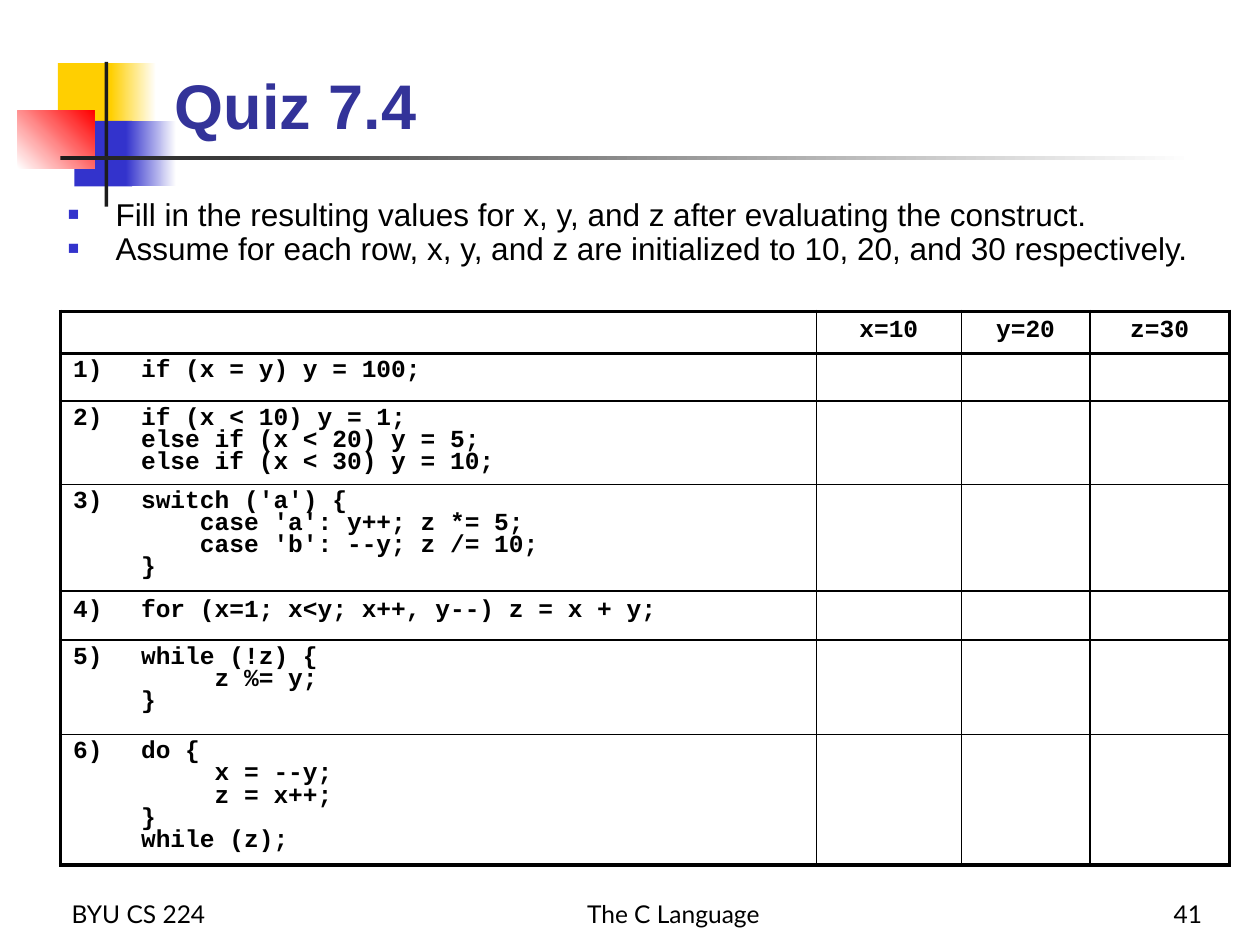
from pptx import Presentation
from pptx.dml.color import RGBColor
from pptx.enum.shapes import MSO_SHAPE
from pptx.enum.text import MSO_ANCHOR, PP_ALIGN
from pptx.oxml.xmlchemy import OxmlElement
from pptx.util import Inches, Pt

RECT = MSO_SHAPE.RECTANGLE
TOP, BOTTOM = MSO_ANCHOR.TOP, MSO_ANCHOR.BOTTOM
LEFT, CENTER, RIGHT = PP_ALIGN.LEFT, PP_ALIGN.CENTER, PP_ALIGN.RIGHT

BLACK = RGBColor(0x00, 0x00, 0x00)
WHITE = RGBColor(0xFF, 0xFF, 0xFF)
YELLOW = RGBColor(0xFF, 0xCF, 0x01)
BLUE = RGBColor(0x33, 0x33, 0xCC)
RED = RGBColor(0xFF, 0x00, 0x00)
DARK = RGBColor(0x1C, 0x1C, 0x1C)
NAVY = RGBColor(0x33, 0x33, 0x99)

THICK, THIN = 2.25, 1


def add_xml(parent, tag, **attrs):
    node = OxmlElement(tag)
    for key, value in attrs.items():
        node.set(key, str(value))
    parent.append(node)
    return node


def add_bullet(para, color):
    props = para._p.get_or_add_pPr()
    props.set("marL", str(Inches(0.38)))
    props.set("indent", str(Inches(-0.38)))
    add_xml(add_xml(props, "a:buClr"), "a:srgbClr", val=color)
    add_xml(props, "a:buSzPct", val=60000)
    add_xml(props, "a:buFont", typeface="Arial")
    add_xml(props, "a:buChar", char="■")


def write(frame, text, font="Arial", size=18, color=BLACK, bold=False,
          align=LEFT, spacing=None, bullet=None):
    for i, line in enumerate(text.split("\n")):
        para = frame.add_paragraph() if i else frame.paragraphs[0]
        para.alignment = align
        if spacing:
            para.line_spacing = spacing
        if bullet is not None:
            add_bullet(para, bullet)
        if not line:
            add_xml(para._p, "a:endParaRPr", sz=size * 100)
            continue
        run = para.add_run()
        run.text = line
        run.font.name, run.font.size = font, Pt(size)
        run.font.bold, run.font.color.rgb = bold, color


def set_edge(cell, side, width):
    props = cell._tc.get_or_add_tcPr()
    line = add_xml(props, f"a:ln{side}", w=Pt(width))
    if width:
        add_xml(add_xml(line, "a:solidFill"), "a:srgbClr", val=BLACK)
    else:
        add_xml(line, "a:noFill")


class Deck:
    def __init__(self):
        self.prs = Presentation()
        self.prs.slide_width = Inches(10)
        self.prs.slide_height = Inches(7.5)
        self.slide = self.prs.slides.add_slide(self.prs.slide_layouts[6])

    def block(self, box, start, end=None, angle=0):
        shape = self.slide.shapes.add_shape(RECT, *map(Inches, box))
        shape.shadow.inherit = False
        shape.line.fill.background()
        if end is None:
            shape.fill.solid()
            shape.fill.fore_color.rgb = start
            return
        shape.fill.gradient()
        shape.fill.gradient_angle = angle
        for stop, color in zip(shape.fill.gradient_stops, (start, end)):
            stop.color.rgb = color

    def text(self, box, text, anchor=TOP, **style):
        frame = self.slide.shapes.add_textbox(*map(Inches, box)).text_frame
        frame.word_wrap = True
        frame.vertical_anchor = anchor
        write(frame, text, **style)

    def table(self, left, top, widths, heights, rows):
        table = self.slide.shapes.add_table(
            len(rows), len(widths), Inches(left), Inches(top),
            Inches(sum(widths)), Inches(sum(heights))).table
        table.first_row = table.horz_banding = False
        for col, width in zip(table.columns, widths):
            col.width = Inches(width)
        for row, height in zip(table.rows, heights):
            row.height = Inches(height)
        last_row, last_col = len(rows) - 1, len(widths) - 1
        for r, row in enumerate(rows):
            for c, text in enumerate(row):
                cell = table.cell(r, c)
                # Numbers and code share one outlined column
                set_edge(cell, "L", (THICK, 0)[c] if c < 2 else THIN)
                set_edge(cell, "R", 0 if c == 0 else
                         THICK if c == last_col else THIN)
                set_edge(cell, "T", THICK if r < 2 else THIN)
                set_edge(cell, "B", THICK if r in (0, last_row) else THIN)
                cell.fill.background()
                tight = r > 0 and not row[1].startswith("for")
                write(cell.text_frame, text, font="Courier New", size=14,
                      bold=True, align=CENTER if c > 1 else LEFT,
                      spacing=0.8 if tight else None)


def main():
    deck = Deck()

    # Corner ornament and rule
    deck.block((0.46, 0.5, 0.48, 0.52), YELLOW)
    deck.block((0.88, 0.5, 0.36, 0.52), YELLOW, WHITE)
    deck.block((0.59, 0.96, 0.46, 0.52), BLUE)
    deck.block((1, 0.96, 0.4, 0.52), BLUE, WHITE)
    deck.block((0.14, 0.88, 0.61, 0.46), WHITE, RED, angle=45)
    deck.block((0.83, 0.49, 0.03, 1.15), DARK)
    deck.block((0.48, 1.24, 9, 0.03), DARK, WHITE)

    # Title and instructions
    deck.text((1.29, 0.23, 8.52, 0.95), "Quiz 7.4", anchor=BOTTOM,
              size=36, color=NAVY, bold=True)
    deck.text((0.44, 1.53, 9.39, 0.79),
              "Fill in the resulting values for x, y, and z after "
              "evaluating the construct.\n"
              "Assume for each row, x, y, and z are initialized to "
              "10, 20, and 30 respectively.", spacing=0.9, bullet=BLUE)

    # Quiz table
    code = [
        "if (x = y) y = 100;",
        "if (x < 10) y = 1;\nelse if (x < 20) y = 5;\n"
        "else if (x < 30) y = 10;",
        "switch ('a') {\n    case 'a': y++; z *= 5;\n"
        "    case 'b': --y; z /= 10;\n}",
        "for (x=1; x<y; x++, y--) z = x + y;",
        "while (!z) {\n     z %= y;\n}",
        "do {\n     x = --y;\n     z = x++;\n}\nwhile (z);",
    ]
    rows = [["", "", "x=10", "y=20", "z=30"]]
    rows += [[f"{i})", text, "", "", ""] for i, text in enumerate(code, 1)]
    deck.table(0.48, 2.47, [0.54, 5.46, 1.15, 1.02, 1.11],
               [0.32, 0.38, 0.63, 0.8, 0.39, 0.75, 0.98], rows)

    # Footer
    for left, width, text, align in (
            (0.47, 2.08, "BYU CS 224", LEFT),
            (2.78, 5.13, "The C Language", CENTER),
            (7.56, 2.08, "41", RIGHT)):
        deck.text((left, 6.92, width, 0.5), text, anchor=BOTTOM,
                  font="Lato", size=14, align=align)

    deck.prs.save("out.pptx")


if __name__ == "__main__":
    main()
